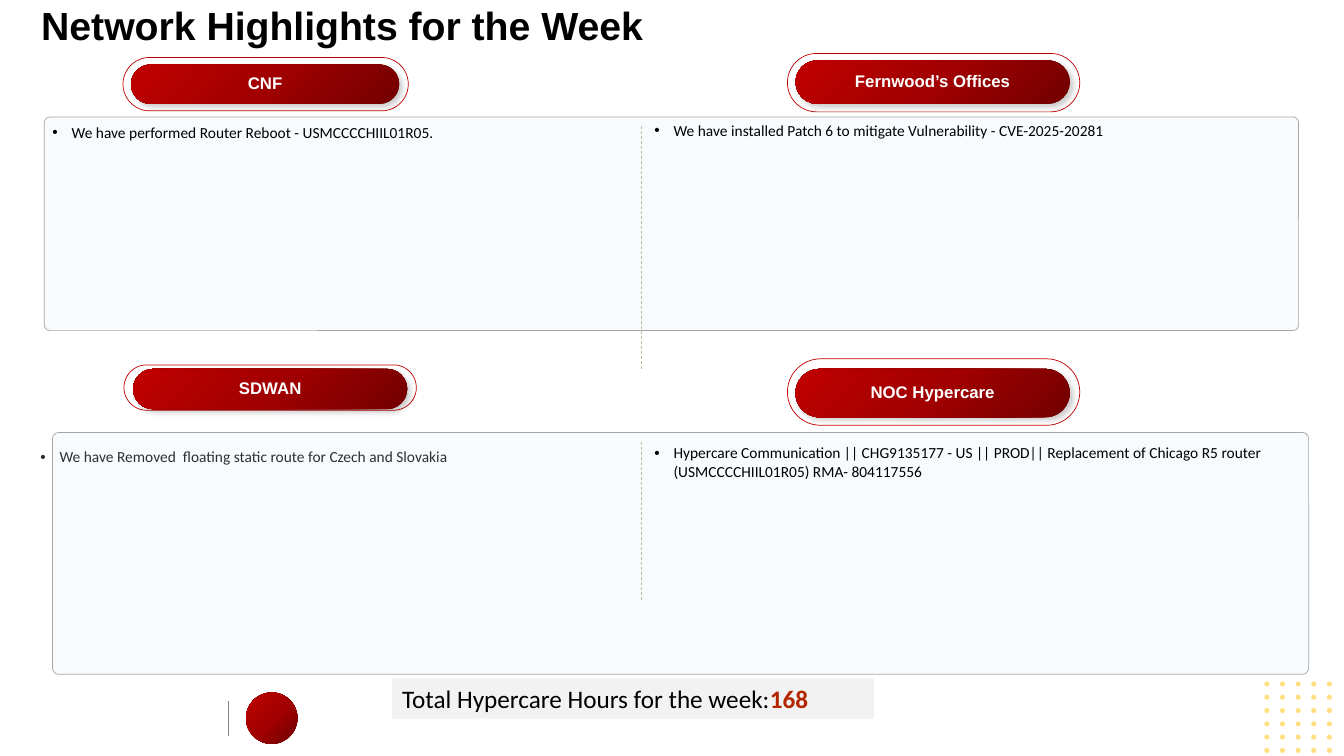
from copy import deepcopy

from lxml import etree
from pptx import Presentation
from pptx.dml.color import RGBColor
from pptx.enum.dml import MSO_LINE
from pptx.enum.shapes import MSO_CONNECTOR, MSO_SHAPE
from pptx.enum.text import MSO_ANCHOR, PP_ALIGN
from pptx.oxml.ns import qn
from pptx.util import Pt

PX = 9144  # 100 px to the inch
OVAL, RECT, ROUND = MSO_SHAPE.OVAL, MSO_SHAPE.RECTANGLE, MSO_SHAPE.ROUNDED_RECTANGLE
STRAIGHT, DASH = MSO_CONNECTOR.STRAIGHT, MSO_LINE.DASH
MIDDLE, TOP = MSO_ANCHOR.MIDDLE, MSO_ANCHOR.TOP
LEFT, CENTER = PP_ALIGN.LEFT, PP_ALIGN.CENTER

BLACK = RGBColor(0x00, 0x00, 0x00)
WHITE = RGBColor(0xFF, 0xFF, 0xFF)
INK = RGBColor(0x2E, 0x2E, 0x2E)
RUST = RGBColor(0xB2, 0x26, 0x00)
RED = RGBColor(0xC0, 0x00, 0x00)
CRIMSON = RGBColor(0xA2, 0x00, 0x00)
MAROON = RGBColor(0x72, 0x00, 0x00)
AMBER = RGBColor(0xFF, 0xC0, 0x00)
GRAY = RGBColor(0x80, 0x80, 0x80)
SILVER = RGBColor(0xA6, 0xA6, 0xA6)
SAND = RGBColor(0xC4, 0xBD, 0x97)
PALE = RGBColor(0xF8, 0xFB, 0xFE)
MIST = RGBColor(0xF2, 0xF2, 0xF2)


def emu(*sizes):
    return [round(size * PX) for size in sizes]


def add(parent, tag, **attrs):
    return etree.SubElement(parent, qn(tag), attrs)


class Board:
    head, body = "Arial", "Calibri"
    hair = Pt(0.5)

    def __init__(self, slide):
        self.slide = slide

    def shape(self, kind, box, fill=None, line=None, round_by=None):
        item = self.slide.shapes.add_shape(kind, *emu(*box))
        item.shadow.inherit = False
        if fill is not None:
            item.fill.solid()
            item.fill.fore_color.rgb = fill
        if line is None:
            item.line.fill.background()
        else:
            item.line.color.rgb = line
            item.line.width = self.hair
        if round_by is not None:
            item.adjustments[0] = round_by
        return item

    def glow(self, item):
        """Fill with the red gradient, dark at the lower right."""
        item.fill.gradient()
        item.fill.gradient_angle = 135
        stops = item._element.spPr.find(qn("a:gradFill")).find(qn("a:gsLst"))
        stops.insert(1, deepcopy(stops[0]))
        tones = (MAROON, 0), (CRIMSON, 0.5), (RED, 1)
        for stop, (tone, place) in zip(item.fill.gradient_stops, tones):
            stop.color.rgb = tone
            stop.position = place

    def label(self, item, runs, font, size, anchor=TOP, align=LEFT, inset=(0, 0), lead=None, bullet=False):
        """Put one paragraph in item; runs are (text, colour, bold)."""
        frame = item.text_frame
        frame.word_wrap = True
        frame.vertical_anchor = anchor
        side, edge = emu(*inset)
        frame.margin_left = frame.margin_right = side
        frame.margin_top = frame.margin_bottom = edge
        para = frame.paragraphs[0]
        para.alignment = align
        if lead:
            para.line_spacing = lead
        if bullet:
            props = para._p.get_or_add_pPr()
            indent = 19 * PX
            props.set("marL", str(indent))
            props.set("indent", str(-indent))
            add(props, "a:buFont", typeface="Arial")
            add(props, "a:buChar", char="•")
        for text, color, bold in runs:
            run = para.add_run()
            run.text = text
            run.font.name = font
            run.font.size = Pt(size)
            run.font.bold = bold
            run.font.color.rgb = color

    def title(self, box, text):
        item = self.slide.shapes.add_textbox(*emu(*box))
        self.label(item, [(text, BLACK, True)], self.head, 28, MIDDLE, inset=(10, 5), lead=0.9)

    def panel(self, box):
        self.shape(ROUND, box, PALE, SILVER, 0.026)

    def pill(self, ring, core, text):
        self.shape(ROUND, ring, WHITE, RED, 0.5)
        item = self.shape(ROUND, core, round_by=0.5)
        self.glow(item)
        effects = item._element.spPr.find(qn("a:effectLst"))
        shade = add(effects, "a:outerShdw", blurRad=str(Pt(4)), dist=str(Pt(3)),
                    dir="2700000", algn="tl", rotWithShape="0")
        tint = add(shade, "a:srgbClr", val=str(BLACK))
        add(tint, "a:alpha", val="20000")
        self.label(item, [(text, WHITE, True)], self.head, 12, MIDDLE, CENTER, lead=0.9)

    def note(self, box, text, color=BLACK):
        item = self.slide.shapes.add_textbox(*emu(*box))
        self.label(item, [(text, color, False)], self.body, 11, bullet=True)

    def total(self, box, text, value):
        item = self.shape(RECT, box, MIST)
        runs = [(text, BLACK, False), (value, RUST, True)]
        self.label(item, runs, self.body, 18, inset=(10, 5))

    def rule(self, x, top, bottom, color, dash=None):
        item = self.slide.shapes.add_connector(STRAIGHT, *emu(x, top, x, bottom))
        item.line.color.rgb = color
        item.line.width = self.hair
        if dash:
            item.line.dash_style = dash
        add(item._element.spPr, "a:effectLst")

    def dots(self, left, top, cols, rows, gap_x, gap_y, size):
        for row in range(rows):
            for col in range(cols):
                box = left + col * gap_x, top + row * gap_y, size, size
                item = self.shape(OVAL, box, AMBER)
                tint = item._element.spPr.find(qn("a:solidFill"))[0]
                add(tint, "a:alpha", val="50000")

    def badge(self, box):
        self.glow(self.shape(OVAL, box))


def main():
    deck = Presentation()
    deck.slide_width, deck.slide_height = emu(1333, 750)
    board = Board(deck.slides.add_slide(deck.slide_layouts[6]))

    board.dots(1254, 676, 5, 6, 15.5, 13.2, 5)
    board.rule(227, 695, 730, GRAY)
    board.badge((244, 687, 51, 51))
    board.title((31, 1, 1229, 53), "Network Highlights for the Week")

    board.panel((44, 116, 1244, 212))
    board.panel((52, 429, 1246, 240))
    board.rule(636, 125, 366, SAND, DASH)
    board.rule(636, 439, 597, SAND, DASH)

    pills = [
        ((122, 57, 283, 53), (130, 64, 266, 39), "CNF"),
        ((781, 53, 290, 58), (789, 60, 272, 43), "Fernwood’s Offices"),
        ((123, 362, 290, 45), (132, 366, 272, 40), "SDWAN"),
        ((781, 356, 290, 66), (789, 366, 272, 48), "NOC Hypercare"),
    ]
    for ring, core, text in pills:
        board.pill(ring, core, text)

    board.note((52, 122, 563, 222), "We have performed Router Reboot - USMCCCCHIIL01R05.")
    board.note((649, 120, 611, 93), "We have installed Patch 6 to mitigate Vulnerability - CVE-2025-20281")
    board.note((40, 444, 558, 56), "We have Removed  floating static route for Czech and Slovakia", INK)
    board.note((649, 440, 611, 37), "Hypercare Communication || CHG9135177 - US || PROD|| "
               "Replacement of Chicago R5 router (USMCCCCHIIL01R05) RMA- 804117556")
    board.total((389, 673, 478, 40), "Total Hypercare Hours for the week:", "168")

    deck.save("out.pptx")


if __name__ == "__main__":
    main()
